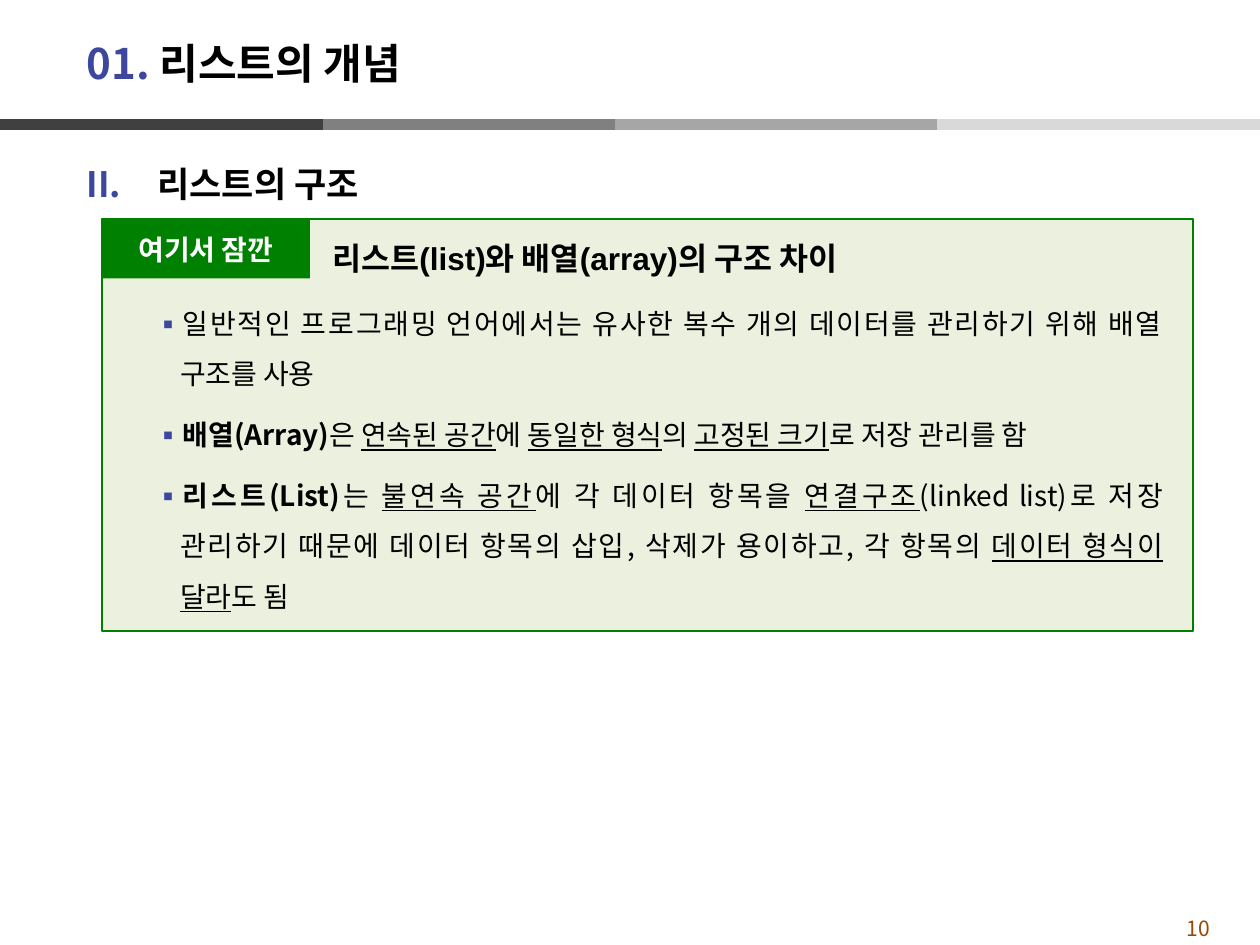
from pptx import Presentation
from pptx.dml.color import RGBColor as RGB
from pptx.enum.shapes import MSO_CONNECTOR as CONN, MSO_SHAPE as SHAPE
from pptx.enum.text import MSO_ANCHOR as ANCHOR, PP_ALIGN as ALIGN
from pptx.oxml.ns import qn
from pptx.util import Pt
from lxml.etree import SubElement as Sub

PX = 9144
NOTO = "Noto Sans CJK KR"
HUES = {
    "ink": "000000", "blue": "3C479D", "green": "008000", "pale": "EBF1DE",
    "white": "FFFFFF", "brown": "984807", "dark": "404040", "mid": "808080",
    "soft": "A6A6A6", "light": "D9D9D9",
}
BARS = [(232, 488, "mid"), (488, 744, "soft"), (744, 1000, "light"), (0, 256, "dark")]
POINTS = [
    [("일반적인 프로그래밍 언어에서는 유사한 복수 개의 데이터를 관리하기 위해 배열 구조를 사용", "")],
    [("배열(Array)", "b"), ("은 ", ""), ("연속된 공간", "u"), ("에 ", ""),
     ("동일한 형식", "u"), ("의 ", ""), ("고정된 크기", "u"), ("로 저장 관리를 함", "")],
    [("리스트(List)", "b"), ("는 ", ""), ("불연속 공간", "u"), ("에 각 데이터 항목을 ", ""),
     ("연결구조", "u"),
     ("(linked list)로 저장 관리하기 때문에 데이터 항목의 삽입, 삭제가 용이하고, 각 항목의 ", ""),
     ("데이터 형식이 달라", "u"), ("도 됨", "")],
]


def hue(name):
    return RGB.from_string(HUES[name])


def add_run(para, text, size=16, color="ink", face=NOTO, bold=False, under=False):
    run = para.add_run()
    run.text = text
    font = run.font
    font.size, font.bold, font.underline, font.name = Pt(size), bold, under, face
    font.color.rgb = hue(color)
    Sub(run._r.get_or_add_rPr(), qn("a:ea"), typeface=NOTO)


def set_para(para, align=ALIGN.LEFT, lead=1.0, gap=0):
    para.alignment, para.line_spacing = align, lead
    para.space_before = para.space_after = Pt(gap)


def add_mark(para, left, hang, tag, **attrs):
    props = para._p.get_or_add_pPr()
    props.set("marL", str(left * PX))
    props.set("indent", str(-hang * PX))
    Sub(Sub(props, qn("a:buClr")), qn("a:srgbClr"), val=HUES["blue"])
    Sub(props, qn("a:buFont"), typeface=NOTO)
    Sub(props, qn(tag), **attrs)


class Deck:
    def __init__(self):
        self.prs = Presentation()
        self.prs.slide_width, self.prs.slide_height = 1000 * PX, 750 * PX
        self.slide = self.prs.slides.add_slide(self.prs.slide_layouts[6])

    def text(self, x, y, w, h, anchor=ANCHOR.TOP):
        box = self.slide.shapes.add_textbox(x * PX, y * PX, w * PX, h * PX)
        frame = box.text_frame
        frame.word_wrap, frame.vertical_anchor = True, anchor
        return frame

    def rect(self, x, y, w, h, fill, line=None):
        box = self.slide.shapes.add_shape(SHAPE.RECTANGLE, x * PX, y * PX, w * PX, h * PX)
        box.shadow.inherit = False
        box.fill.solid()
        box.fill.fore_color.rgb = hue(fill)
        if line:
            box.line.color.rgb = hue(line)
            box.line.width = Pt(1)
        else:
            box.line.fill.background()
        return box.text_frame

    def bar(self, start, end, y, color):
        bar = self.slide.shapes.add_connector(
            CONN.STRAIGHT, start * PX, y * PX, end * PX, y * PX)
        bar.line.color.rgb = hue(color)
        bar.line.width = Pt(6)
        Sub(bar._element.spPr, qn("a:effectLst"))


def main():
    deck = Deck()

    page = deck.text(905, 722, 92, 23).paragraphs[0]
    set_para(page, ALIGN.CENTER)
    add_run(page, "10", size=12, color="brown")

    for start, end, color in BARS:
        deck.bar(start, end, 99, color)

    title = deck.text(59, 20, 874, 60, ANCHOR.MIDDLE).paragraphs[0]
    add_run(title, "01. ", size=24, color="blue", bold=True)
    add_run(title, "리스트의 개념", size=24, bold=True)

    head = deck.text(59, 107, 882, 599).paragraphs[0]
    set_para(head, lead=1.5)
    add_mark(head, 56, 56, "a:buAutoNum", type="romanUcPeriod", startAt="2")
    add_run(head, "리스트의 구조", size=20, face="Arial", bold=True)

    deck.rect(81, 174, 866, 327, "pale", "green")

    body = deck.text(84, 225, 849, 268)
    for i, parts in enumerate(POINTS):
        para = body.add_paragraph() if i else body.paragraphs[0]
        para.level = 1
        set_para(para, ALIGN.JUSTIFY, 1.5, 3)
        add_mark(para, 49, 20, "a:buChar", char="▪")
        for words, style in parts:
            add_run(para, words, bold=style == "b", under=style == "u")

    tab = deck.rect(81, 174, 165, 47, "green")
    tab.vertical_anchor = ANCHOR.MIDDLE
    set_para(tab.paragraphs[0], ALIGN.CENTER)
    add_run(tab.paragraphs[0], "여기서 잠깐", color="white", bold=True)

    topic = deck.text(254, 174, 474, 47, ANCHOR.MIDDLE).paragraphs[0]
    set_para(topic, lead=1.5, gap=3)
    add_run(topic, "리스트(list)와 배열(array)의 구조 차이", size=18, face="Arial", bold=True)

    deck.prs.save("out.pptx")


if __name__ == "__main__":
    main()
